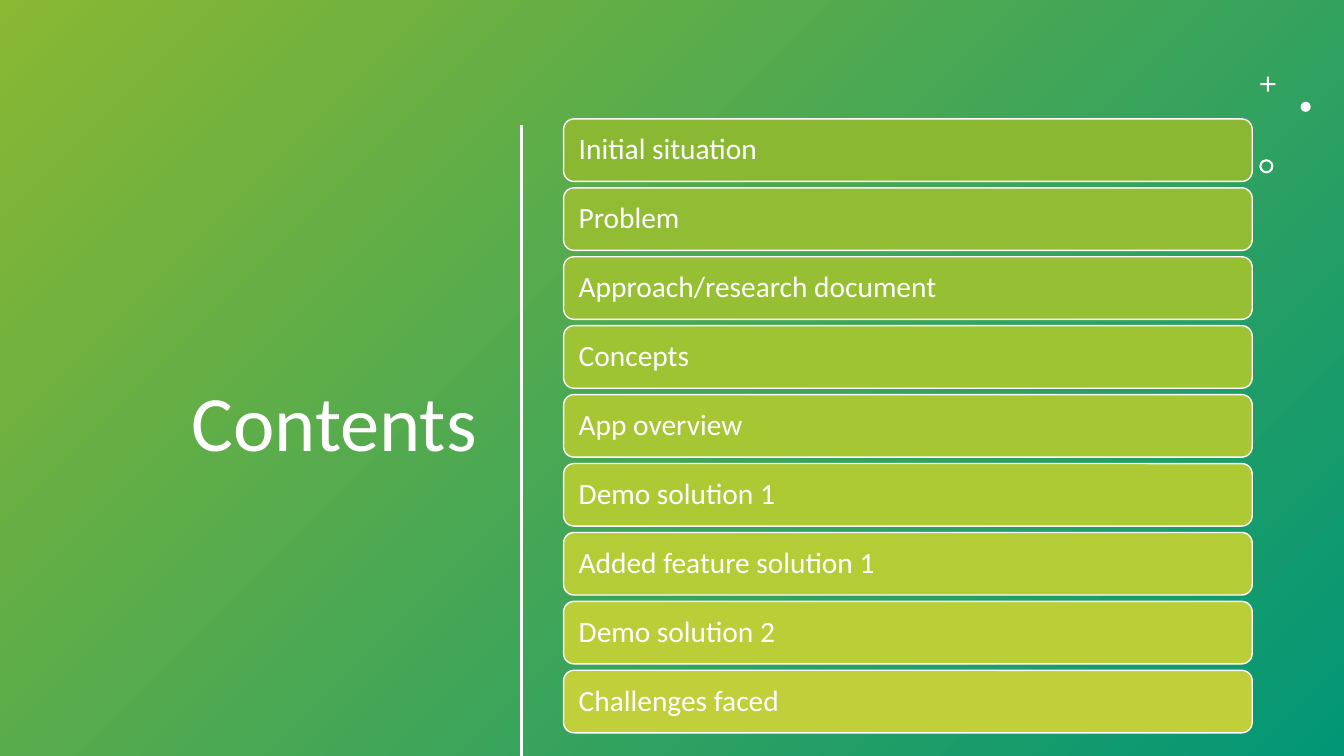
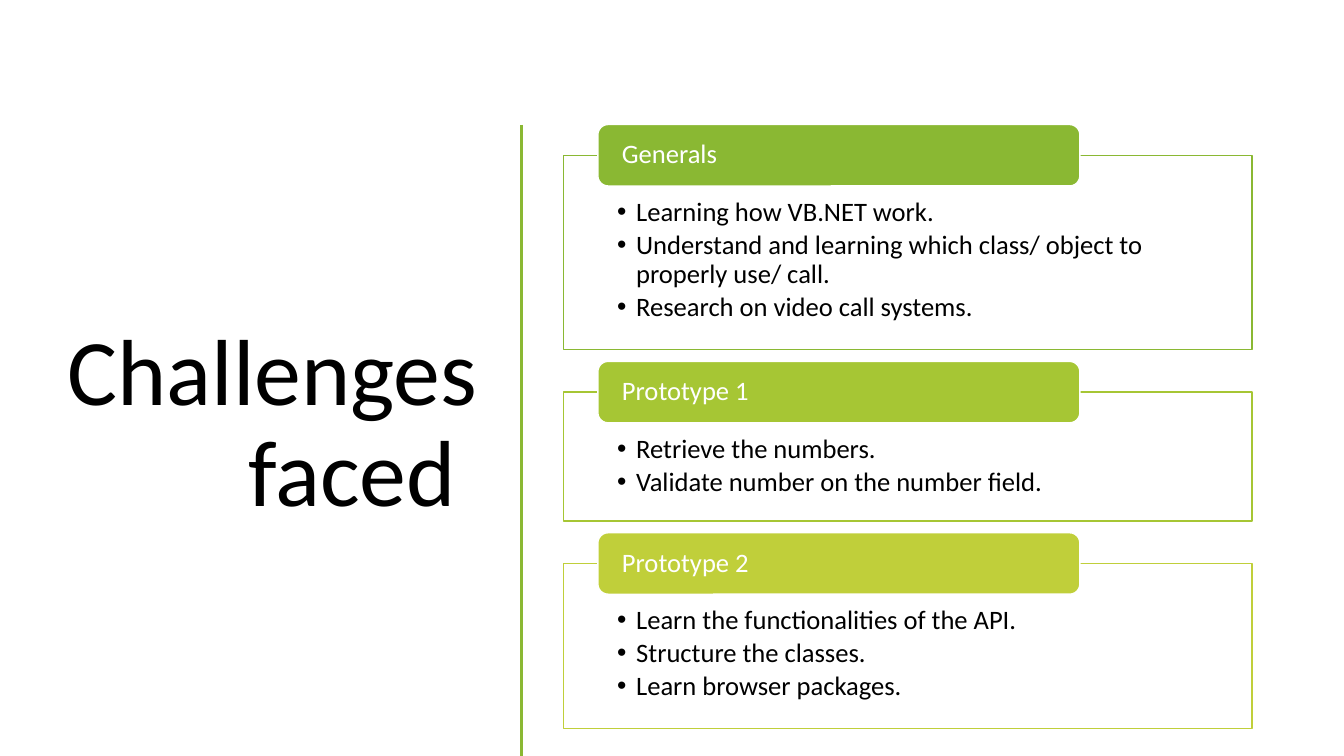
from lxml import etree
from pptx import Presentation
from pptx.dml.color import RGBColor
from pptx.enum import shapes, text
from pptx.oxml import ns
from pptx.util import Inches, Pt

FONT = "Calibri"
WHITE, BLACK = "FFFFFF", "000000"
GREEN, LIME, YELLOW, TEAL = "8AB833", "A6C634", "C0CF3A", "029676"
SLIDE_W, SLIDE_H = 13.33, 7.5
TITLE_BOX = (0.52, 1.17, 4.31, 6.11)
PANEL_LEFT, PANEL_W = 5.59, 6.83
SHAPE = shapes.MSO_SHAPE
MIDDLE = text.MSO_ANCHOR.MIDDLE

CONTENTS = [
    ("Initial situation", GREEN),
    ("Problem", "91BC33"),
    ("Approach/research document", "97BF33"),
    ("Concepts", "9EC333"),
    ("App overview", LIME),
    ("Demo solution 1", "ADCA34"),
    ("Added feature solution 1", "B4CC35"),
    ("Demo solution 2", "BACE38"),
    ("Challenges faced", YELLOW),
]
CHALLENGES = [
    ("Generals", GREEN, 1.93, [
        "Learning how VB.NET work.",
        "Understand and learning which class/ object to properly use/ call.",
        "Research on video call systems.",
    ]),
    ("Prototype 1", LIME, 1.28, [
        "Retrieve the numbers.",
        "Validate number on the number field.",
    ]),
    ("Prototype 2", YELLOW, 1.64, [
        "Learn the functionalities of the API.",
        "Structure the classes.",
        "Learn browser packages.",
    ]),
]


def rgb(value):
    return RGBColor.from_string(value)


def add_box(page, kind, box, fill, line=None):
    shape = page.shapes.add_shape(kind, *map(Inches, box))
    shape.shadow.inherit = False
    shape.fill.solid()
    shape.fill.fore_color.rgb = rgb(fill)
    if line:
        shape.line.color.rgb = rgb(line)
        shape.line.width = Pt(1)
    else:
        shape.line.fill.background()
    return shape


def set_bullet(para, indent):
    props = para._p.get_or_add_pPr()
    props.set("marL", str(Inches(indent)))
    props.set("indent", str(-Inches(indent)))
    etree.SubElement(props, ns.qn("a:buFont")).set("typeface", "Arial")
    etree.SubElement(props, ns.qn("a:buChar")).set("char", "•")


def write(shape, lines, size, color, insets=(0.1, 0.05, 0.1, 0.05),
          align=text.PP_ALIGN.LEFT, anchor=MIDDLE, bullets=False):
    """Fill a shape with one paragraph per line, insets as left, top, right, bottom."""
    frame = shape.text_frame
    frame.word_wrap = True
    frame.vertical_anchor = anchor
    (frame.margin_left, frame.margin_top,
     frame.margin_right, frame.margin_bottom) = map(Inches, insets)
    for index, line in enumerate(lines):
        para = frame.add_paragraph() if index else frame.paragraphs[0]
        para.text = line
        para.alignment = align
        para.line_spacing = 0.9
        if bullets:
            para.space_after = Pt(3)
            set_bullet(para, 0.19)
        para.font.name = FONT
        para.font.size = Pt(size)
        para.font.color.rgb = rgb(color)


def add_title(page, title, size, color, line_color):
    """Right-aligned title with the vertical rule that parts it from the panel."""
    box = page.shapes.add_textbox(*map(Inches, TITLE_BOX))
    write(box, [title], size, color, align=text.PP_ALIGN.RIGHT)
    rule = page.shapes.add_connector(
        shapes.MSO_CONNECTOR.STRAIGHT,
        *map(Inches, (5.17, 1.24, 5.17, SLIDE_H)))
    rule.line.color.rgb = rgb(line_color)
    rule.line.width = Pt(2)
    etree.SubElement(rule._element.spPr, ns.qn("a:effectLst"))


def add_gradient(page):
    backdrop = add_box(page, SHAPE.RECTANGLE, (0, 0, SLIDE_W, SLIDE_H), GREEN)
    backdrop.fill.gradient()
    backdrop.fill.gradient_angle = 315
    for stop, color in zip(backdrop.fill.gradient_stops, (GREEN, TEAL)):
        stop.color.rgb = rgb(color)


def add_ornaments(page, left, top):
    plus = add_box(page, SHAPE.CROSS, (left + 0.01, top, 0.15, 0.15), WHITE)
    plus.adjustments[0] = 0.44
    add_box(page, SHAPE.OVAL, (left + 0.41, top + 0.25, 0.1, 0.1), WHITE)
    ring = add_box(page, SHAPE.DONUT, (left, top + 0.82, 0.14, 0.14), WHITE)
    ring.adjustments[0] = 0.15


def add_bars(page, items, left, top, width, height):
    bar_h = 0.62
    pitch = (height - bar_h) / (len(items) - 1)
    for index, (label, color) in enumerate(items):
        bar = add_box(page, SHAPE.ROUNDED_RECTANGLE,
                      (left, top + index * pitch, width, bar_h), color, WHITE)
        write(bar, [label], 21, WHITE, insets=(0.12, 0.05, 0.12, 0.05))


def add_card(page, heading, color, lines, left, top, width, height):
    """Outlined list with a heading tab straddling its top edge."""
    tab_h = 0.61
    body = add_box(page, SHAPE.RECTANGLE, (left, top, width, height), WHITE, color)
    write(body, lines, 19, BLACK, insets=(0.53, 0.43, 0.53, 0.15),
          anchor=text.MSO_ANCHOR.TOP, bullets=True)
    tab = add_box(page, SHAPE.ROUNDED_RECTANGLE,
                  (left + 0.34, top - tab_h / 2, width * 0.7, tab_h), color, WHITE)
    write(tab, [heading], 19, WHITE, insets=(0.21, 0, 0.21, 0))


def add_cards(page, cards, left, top, width, gap):
    for heading, color, height, lines in cards:
        add_card(page, heading, color, lines, left, top, width, height)
        top += height + gap


def build_contents(page):
    add_gradient(page)
    add_title(page, "Contents", 56, WHITE, WHITE)
    add_ornaments(page, 12.49, 0.76)
    add_bars(page, CONTENTS, PANEL_LEFT, 1.18, PANEL_W, 6.09)


def build_challenges(page):
    add_title(page, "Challenges faced ", 67, BLACK, GREEN)
    add_cards(page, CHALLENGES, PANEL_LEFT, 1.54, PANEL_W, 0.42)


def main():
    deck = Presentation()
    deck.slide_width, deck.slide_height = Inches(SLIDE_W), Inches(SLIDE_H)
    for build in (build_contents, build_challenges):
        build(deck.slides.add_slide(deck.slide_layouts[6]))
    deck.save("out.pptx")


if __name__ == "__main__":
    main()
